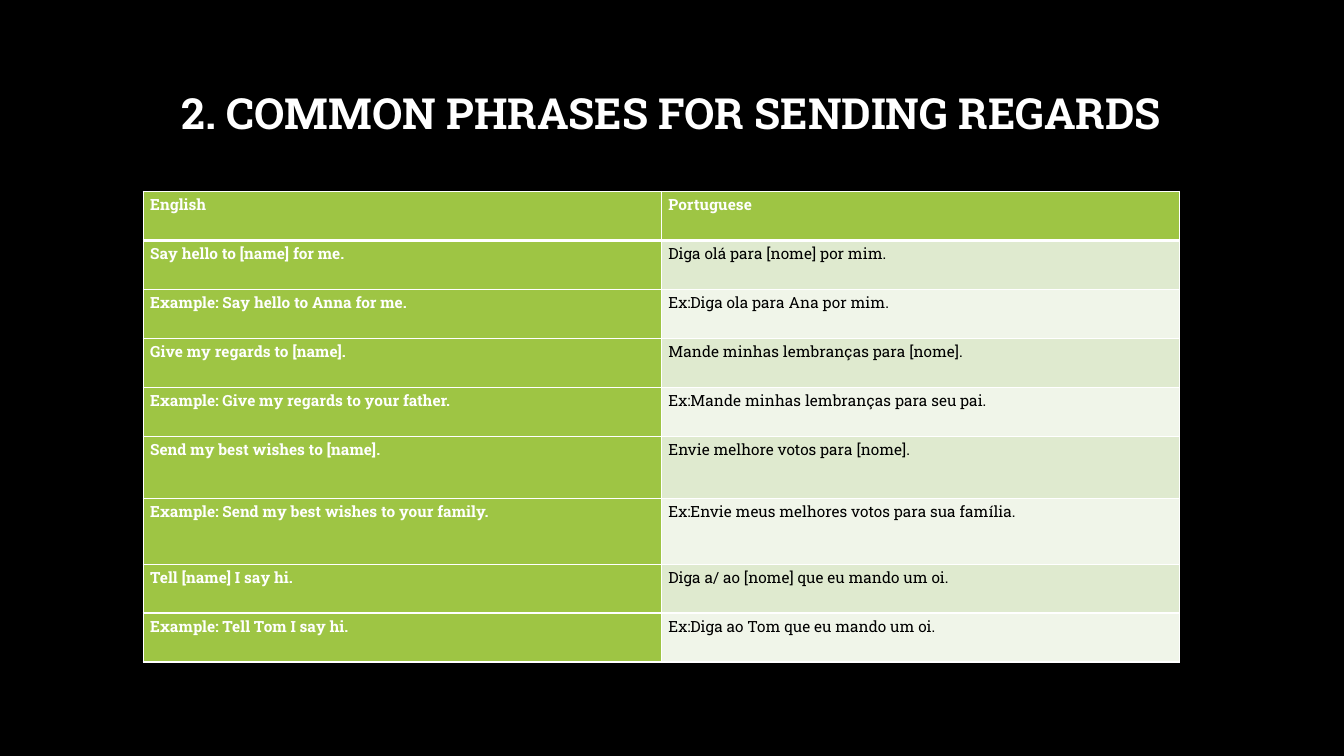
from dataclasses import dataclass

from lxml.etree import SubElement
from pptx import Presentation
from pptx.dml.color import RGBColor as RGB
from pptx.enum.text import MSO_ANCHOR as ANCHOR, PP_ALIGN as ALIGN
from pptx.oxml.ns import qn
from pptx.util import Inches, Pt


@dataclass(frozen=True)
class Theme:
    font: str = "Roboto Slab"
    background: str = "000000"
    light: str = "FFFFFF"
    dark: str = "000000"
    accent: str = "9EC544"
    bands: tuple = ("DFEACF", "F0F5E9")
    title_size: float = 30.6
    table_size: float = 11
    thin: float = 1
    thick: float = 3


PHRASES = [
    ("English", "Portuguese"),
    ("Say hello to [name] for me.", "Diga olá para [nome] por mim."),
    ("Example: Say hello to Anna for me.", "Ex:Diga ola para Ana por mim."),
    ("Give my regards to [name].", "Mande minhas lembranças para [nome]."),
    ("Example: Give my regards to your father.",
     "Ex:Mande minhas lembranças para seu pai."),
    ("Send my best wishes to [name].", "Envie melhore votos para [nome]."),
    ("Example: Send my best wishes to your family.",
     "Ex:Envie meus melhores votos para sua família."),
    ("Tell [name] I say hi.", "Diga a/ ao [nome] que eu mando um oi."),
    ("Example: Tell Tom I say hi.", "Ex:Diga ao Tom que eu mando um oi."),
]
TALL_ROWS = {5: 0.62, 6: 0.65}


def write(tf, text, *, font, size, color, bold=False, align=ALIGN.LEFT,
          line=1.0, after=0):
    p = tf.paragraphs[0]
    p.alignment, p.line_spacing, p.space_after = align, line, Pt(after)
    r = p.add_run()
    r.text = text
    r.font.name, r.font.size, r.font.bold = font, Pt(size), bold
    r.font.color.rgb = RGB.from_string(color)


def border(cell, color, **widths):
    """Draw the cell's edges; L, R, T and B give widths in points."""
    tc_pr = cell._tc.get_or_add_tcPr()
    for side in "LRTB":
        ln = SubElement(tc_pr, qn(f"a:ln{side}"), w=str(Pt(widths[side])))
        fill = SubElement(ln, qn("a:solidFill"))
        SubElement(fill, qn("a:srgbClr"), val=color)


class SlideBuilder:
    def __init__(self, slide, theme):
        self.slide, self.theme = slide, theme
        fill = slide.background.fill
        fill.solid()
        fill.fore_color.rgb = RGB.from_string(theme.background)

    def title(self, text, x, y, w, h):
        box = self.slide.shapes.add_textbox(
            Inches(x), Inches(y), Inches(w), Inches(h))
        tf = box.text_frame
        tf.word_wrap = True
        tf.vertical_anchor = ANCHOR.MIDDLE
        tf.margin_bottom = Inches(0.55)  # lifts the line clear of the table
        write(tf, text, font=self.theme.font, size=self.theme.title_size,
              color=self.theme.light, bold=True, align=ALIGN.CENTER, line=0.9)

    def table(self, rows, x, y, w, h, tall):
        table = self.slide.shapes.add_table(
            len(rows), len(rows[0]), Inches(x), Inches(y),
            Inches(w), Inches(h)).table
        # Rows without a set height share what is left
        normal = (h - sum(tall.values())) / (len(rows) - len(tall))
        for i, texts in enumerate(rows):
            table.rows[i].height = Inches(tall.get(i, normal))
            for j, text in enumerate(texts):
                self.cell(table.cell(i, j), text, i, j)

    def cell(self, cell, text, row, col):
        t = self.theme
        heading = row == 0 or col == 0
        border(cell, t.light, L=t.thin, R=t.thin,
               T=t.thick if row == 1 else t.thin,
               B=t.thick if row == 0 else t.thin)
        cell.fill.solid()
        cell.fill.fore_color.rgb = RGB.from_string(
            t.accent if heading else t.bands[(row - 1) % 2])
        cell.margin_left = cell.margin_right = Inches(0.07)
        cell.margin_top = cell.margin_bottom = 0
        write(cell.text_frame, text, font=t.font, size=t.table_size,
              color=t.light if heading else t.dark, bold=heading,
              line=1.15, after=10)


def main():
    prs = Presentation()
    prs.slide_width, prs.slide_height = Inches(13.33), Inches(7.5)
    s = SlideBuilder(prs.slides.add_slide(prs.slide_layouts[6]), Theme())

    # Heading
    s.title("2. COMMON PHRASES FOR SENDING REGARDS", 1, 0.67, 11.32, 1.45)

    # Phrases in both languages
    s.table(PHRASES, 1.42, 1.9, 10.28, 4.67, TALL_ROWS)

    prs.save("out.pptx")


if __name__ == "__main__":
    main()
